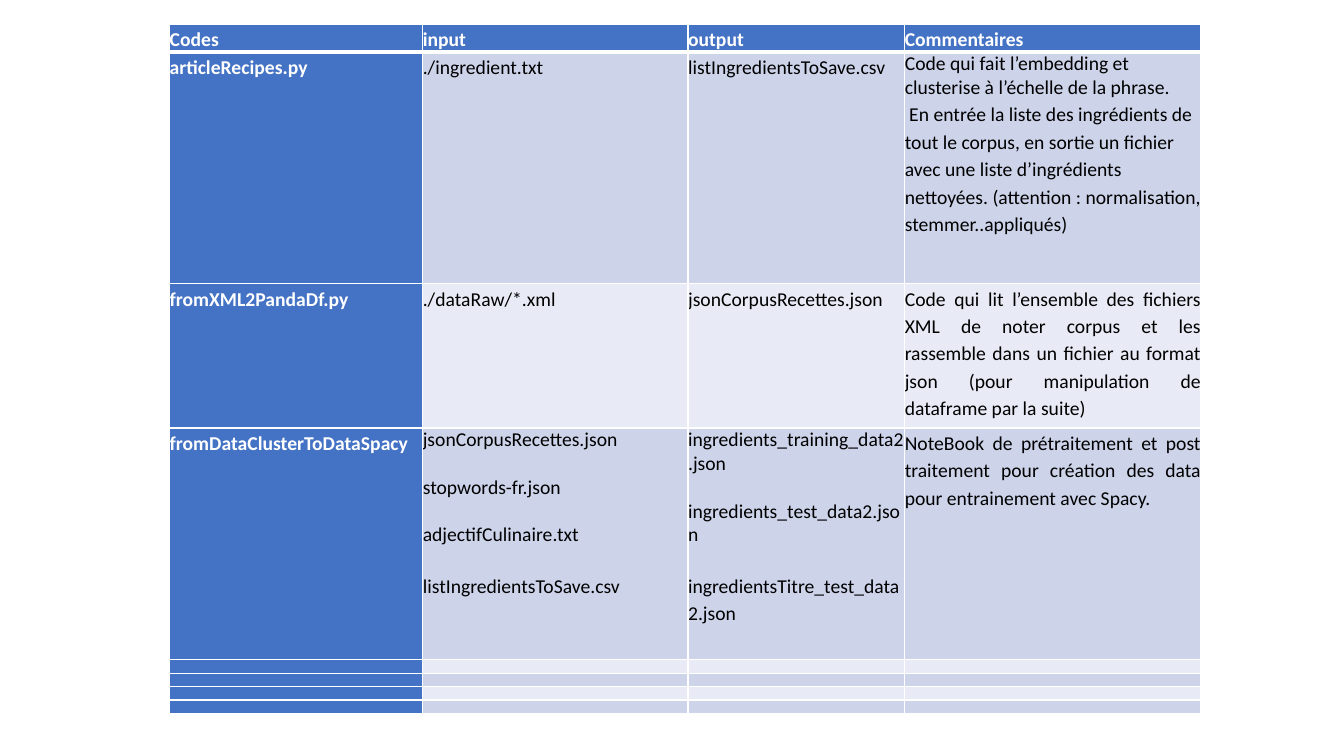
"""Build the slide that lists each script with its inputs, outputs and comments."""
from dataclasses import dataclass

from lxml.etree import SubElement
from pptx import Presentation
from pptx.dml.color import RGBColor
from pptx.enum.text import PP_ALIGN
from pptx.oxml.ns import qn
from pptx.table import _Cell
from pptx.util import Pt

WHITE, BLACK, BLUE = "FFFFFF", "000000", "4472C4"
BANDS = ("CDD4EA", "E8EBF5")
COLUMN_WIDTHS = (180.8, 189.5, 154.8, 211.6)
ROW_HEIGHTS = (18.8, 165.6, 103, 165.6) + (9.6,) * 4


@dataclass
class ScriptRow:
    code: str
    inputs: tuple[str, ...]
    outputs: tuple[str, ...]
    comments: tuple[str, ...]
    comment_alignment: PP_ALIGN = PP_ALIGN.JUSTIFY
    gap: float = 0


SCRIPT_ROWS = (
    ScriptRow("Codes", ("input",), ("output",), ("Commentaires",)),
    ScriptRow(
        "articleRecipes.py",
        ("./ingredient.txt",),
        ("listIngredientsToSave.csv",),
        (
            "Code qui fait l’embedding et clusterise à l’échelle de la phrase.",
            " En entrée la liste des ingrédients de tout le corpus, en sortie un fichier "
            "avec une liste d’ingrédients nettoyées. (attention : normalisation, "
            "stemmer..appliqués)",
        ),
        comment_alignment=PP_ALIGN.LEFT,
    ),
    ScriptRow(
        "fromXML2PandaDf.py",
        ("./dataRaw/*.xml",),
        ("jsonCorpusRecettes.json",),
        (
            "Code qui lit l’ensemble des fichiers XML de noter corpus et les rassemble "
            "dans un fichier au format json (pour manipulation de dataframe par la suite)",
        ),
    ),
    ScriptRow(
        "fromDataClusterToDataSpacy",
        (
            "jsonCorpusRecettes.json",
            "stopwords-fr.json",
            "adjectifCulinaire.txt",
            "listIngredientsToSave.csv",
        ),
        (
            "ingredients_training_data2.json",
            "ingredients_test_data2.json",
            "ingredientsTitre_test_data2.json",
        ),
        (
            "NoteBook de prétraitement et post traitement pour création des data "
            "pour entrainement avec Spacy.",
        ),
        gap=17,
    ),
)


def color(value: str) -> RGBColor:
    return RGBColor.from_string(value)


def write_text(cell: _Cell, lines: tuple[str, ...], *, font_color: str, bold: bool,
               alignment: PP_ALIGN, gap: float) -> None:
    frame = cell.text_frame
    for index, line in enumerate(lines):
        is_last = index == len(lines) - 1
        paragraph = frame.add_paragraph() if index else frame.paragraphs[0]
        paragraph.alignment = alignment if is_last else PP_ALIGN.LEFT
        paragraph.line_spacing = 1.15 if is_last else 1.0
        paragraph.space_after = Pt(0 if is_last else gap)
        run = paragraph.add_run()
        run.text = line
        run.font.name = "Calibri"
        run.font.size = Pt(14)
        run.font.bold = bold
        run.font.color.rgb = color(font_color)


def style_cell(cell: _Cell, fill: str, top: float, bottom: float) -> None:
    cell.margin_left = cell.margin_top = cell.margin_right = cell.margin_bottom = Pt(0)
    properties = cell._tc.get_or_add_tcPr()
    for side, width in (("L", 1), ("R", 1), ("T", top), ("B", bottom)):
        border = SubElement(properties, qn(f"a:ln{side}"), w=str(Pt(width)))
        SubElement(SubElement(border, qn("a:solidFill")), qn("a:srgbClr"), val=WHITE)
    cell.fill.solid()
    cell.fill.fore_color.rgb = color(fill)


def main() -> None:
    presentation = Presentation()
    presentation.slide_width, presentation.slide_height = Pt(960), Pt(540)
    slide = presentation.slides.add_slide(presentation.slide_layouts[6])
    table = slide.shapes.add_table(
        len(ROW_HEIGHTS), len(COLUMN_WIDTHS), Pt(121.2), Pt(17.5),
        Pt(sum(COLUMN_WIDTHS)), Pt(sum(ROW_HEIGHTS))).table
    table.first_col = True
    for column, width in zip(table.columns, COLUMN_WIDTHS):
        column.width = Pt(width)

    for row_index, height in enumerate(ROW_HEIGHTS):
        table.rows[row_index].height = Pt(height)
        for column_index in range(len(COLUMN_WIDTHS)):
            cell = table.cell(row_index, column_index)
            is_heading = row_index == 0 or column_index == 0
            style_cell(cell, BLUE if is_heading else BANDS[(row_index - 1) % 2],
                       top=3 if row_index == 1 else 1, bottom=3 if row_index == 0 else 1)
            if row_index >= len(SCRIPT_ROWS):
                cell.text_frame.paragraphs[0].font.size = Pt(7)
                continue
            row = SCRIPT_ROWS[row_index]
            lines = ((row.code,), row.inputs, row.outputs, row.comments)[column_index]
            write_text(cell, lines, font_color=WHITE if is_heading else BLACK,
                       bold=is_heading, gap=row.gap,
                       alignment=row.comment_alignment if column_index == 3
                       else PP_ALIGN.JUSTIFY)
    presentation.save("out.pptx")


if __name__ == "__main__":
    main()
